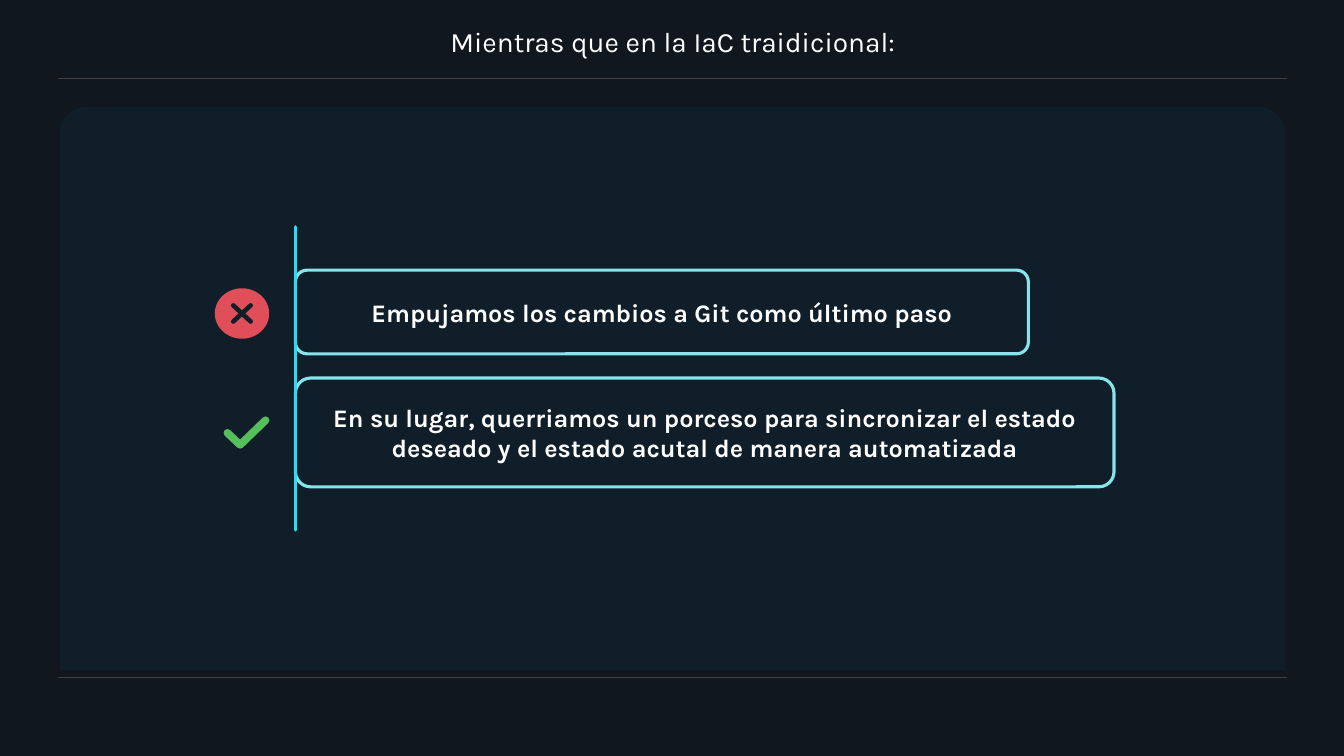
from lxml.etree import SubElement
from pptx import Presentation
from pptx.dml.color import RGBColor
from pptx.enum.shapes import MSO_CONNECTOR, MSO_SHAPE
from pptx.enum.text import MSO_ANCHOR, MSO_AUTO_SIZE, PP_ALIGN
from pptx.oxml.ns import qn
from pptx.util import Inches, Pt

WIDTH, HEIGHT = Inches(13.33), Inches(7.5)
FONT = "Karla"
COLORS = {
    "background": "10171E",
    "panel": "1DACFE",
    "rule": "404040",
    "text": "FFFFFF",
    "border": "87E4EA",
    "spine": "27DDF3",
    "wrong": "E04E59",
    "cross": "101E28",
    "right": "55BF5B",
}


def color(name):
    """Return the named colour."""
    return RGBColor.from_string(COLORS[name])


def across(percent):
    """Return a share of the slide's width."""
    return round(WIDTH * percent / 100)


def down(percent):
    """Return a share of the slide's height."""
    return round(HEIGHT * percent / 100)


def place(box):
    """Turn a box in percent of the slide into slide lengths."""
    left, top, width, height = box
    return across(left), down(top), across(width), down(height)


def point_in(box, share):
    """Return the point at the given shares of a box."""
    left, top, width, height = place(box)
    return round(left + share[0] * width), round(top + share[1] * height)


def style_line(shape, name, width):
    """Give a shape's line its colour and width, with round ends and joins."""
    shape.line.color.rgb = color(name)
    shape.line.width = Pt(width)
    line = shape.element.spPr.find(qn("a:ln"))
    line.set("cap", "rnd")
    SubElement(line, qn("a:round"))


def add_line(slide, start, end, name, width):
    """Draw a straight line without a shadow."""
    connector = slide.shapes.add_connector(MSO_CONNECTOR.STRAIGHT, *start, *end)
    style_line(connector, name, width)
    SubElement(connector.element.spPr, qn("a:effectLst"))


def add_filled(slide, kind, box, name):
    """Draw a preset shape with a plain fill and no outline."""
    shape = slide.shapes.add_shape(kind, *place(box))
    shape.shadow.inherit = False
    shape.fill.solid()
    shape.fill.fore_color.rgb = color(name)
    shape.line.fill.background()
    return shape


def write(shape, text, size, bold):
    """Write one centred paragraph in a shape."""
    frame = shape.text_frame
    frame.word_wrap = True
    frame.auto_size = MSO_AUTO_SIZE.NONE
    frame.vertical_anchor = MSO_ANCHOR.MIDDLE
    frame.text = text
    paragraph = frame.paragraphs[0]
    paragraph.alignment = PP_ALIGN.CENTER
    paragraph.font.name = FONT
    paragraph.font.size = Pt(size)
    paragraph.font.bold = bold
    paragraph.font.color.rgb = color("text")
    return paragraph


def add_frame(slide, box):
    """Draw the rules at the box's top and bottom and the panel between them."""
    for share in (0, 1):
        add_line(slide, point_in(box, (0, share)), point_in(box, (1, share)), "rule", 0.5)
    left, top, width, height = box
    panel_box = (left + 0.08, top + 3.73, width - 0.15, height - 4.67)
    panel = add_filled(slide, MSO_SHAPE.ROUND_2_SAME_RECTANGLE, panel_box, "panel")
    panel.adjustments[0] = 0.049
    panel.adjustments[1] = 0
    fill = panel.element.spPr.find(qn("a:solidFill"))
    SubElement(fill[0], qn("a:alpha")).set("val", "5000")


def add_title(slide, box, text):
    """Fill and place the title."""
    title = slide.shapes.title
    title.left, title.top, title.width, title.height = place(box)
    write(title, text, 20, False).line_spacing = 0.9


def add_card(slide, box, text):
    """Draw an outlined card with a statement."""
    card = slide.shapes.add_shape(MSO_SHAPE.ROUNDED_RECTANGLE, *place(box))
    card.shadow.inherit = False
    card.adjustments[0] = 0.14
    card.fill.background()
    style_line(card, "border", 2.25)
    write(card, text, 18, True)


def add_wrong_mark(slide, box):
    """Draw a disc with a cross."""
    add_filled(slide, MSO_SHAPE.OVAL, box, "wrong")
    for start, end in ((0.34, 0.66), (0.66, 0.34)):
        add_line(slide, point_in(box, (0.34, start)), point_in(box, (0.66, end)), "cross", 3.25)


def add_right_mark(slide, box):
    """Draw a tick as one thick open stroke."""
    first, *others = [point_in(box, share) for share in ((0.08, 0.5), (0.36, 0.86), (0.92, 0.12))]
    builder = slide.shapes.build_freeform(*first, scale=1.0)
    builder.add_line_segments(others, close=False)
    tick = builder.convert_to_shape()
    tick.shadow.inherit = False
    tick.fill.background()
    style_line(tick, "right", 5.5)


def add_comparison(slide, box):
    """Place both marked cards along the vertical spine on the box's left."""
    left, top, width, height = box
    add_right_mark(slide, (left - 5.33, top + 25.07, 3.38, 4.4))
    add_wrong_mark(slide, (left - 6, top + 8.13, 4.05, 6.67))
    add_card(
        slide,
        (left, top + 20, width, 14.4),
        "En su lugar, querriamos un porceso para sincronizar el estado "
        "deseado y el estado acutal de manera automatizada",
    )
    add_card(
        slide,
        (left, top + 5.73, width - 6.37, 11.07),
        "Empujamos los cambios a Git como último paso",
    )
    add_line(slide, point_in(box, (0, 0)), point_in(box, (0, 1)), "spine", 2.25)


def main():
    """Build and save the slide."""
    presentation = Presentation()
    presentation.slide_width, presentation.slide_height = WIDTH, HEIGHT
    slide = presentation.slides.add_slide(presentation.slide_layouts[5])
    slide.background.fill.solid()
    slide.background.fill.fore_color.rgb = color("background")
    add_frame(slide, (4.35, 10.4, 91.37, 79.2))
    add_title(slide, (31.13, 1.6, 37.88, 8.4), "Mientras que en la IaC traidicional:")
    add_comparison(slide, (21.98, 30, 60.91, 40.13))
    presentation.save("out.pptx")


if __name__ == "__main__":
    main()
